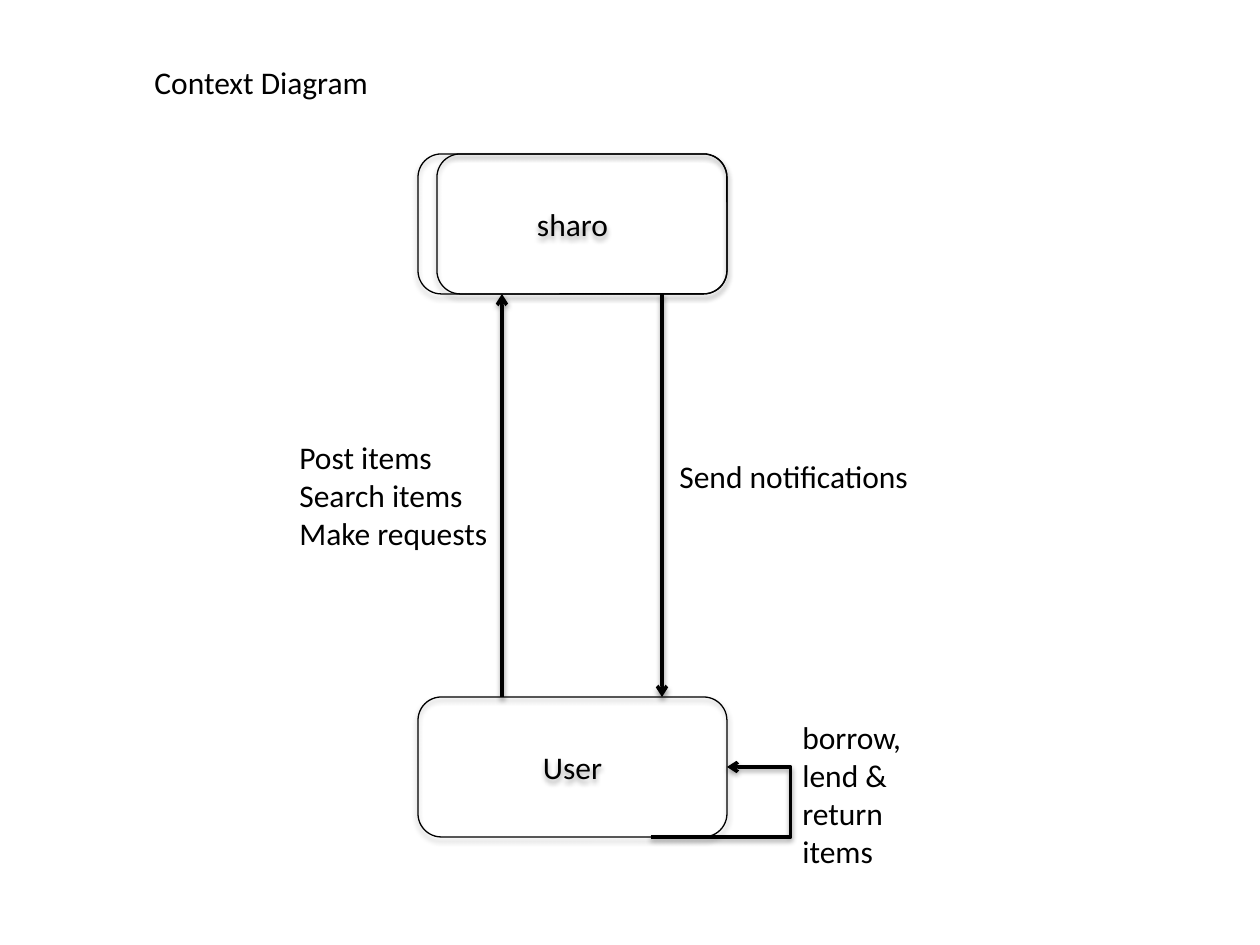
from lxml.etree import SubElement
from pptx import Presentation
from pptx.dml.color import RGBColor
from pptx.enum.shapes import MSO_CONNECTOR, MSO_SHAPE
from pptx.enum.text import MSO_ANCHOR, MSO_AUTO_SIZE, PP_ALIGN
from pptx.oxml.ns import qn
from pptx.util import Emu, Pt

COLORS = {"ink": "000000"}
FONT = "Calibri"
PIXEL = 914400 / 126


def px(length):
    """Turn whole pixels into EMU."""
    return Emu(round(length * PIXEL))


def ink():
    """Return the colour of lines and text."""
    return RGBColor.from_string(COLORS["ink"])


def add_shadow(shape, distance, opacity):
    """Give a shape a soft shadow straight below it."""
    effects = SubElement(shape._element.spPr, qn("a:effectLst"))
    shadow = SubElement(effects, qn("a:outerShdw"), blurRad=str(Pt(3.1)),
                        dist=str(Pt(distance)), dir="5400000", rotWithShape="0")
    color = SubElement(shadow, qn("a:srgbClr"), val=COLORS["ink"])
    SubElement(color, qn("a:alpha"), val=str(opacity * 1000))


def write_text(shape, text, alignment):
    """Write lines of text as paragraphs in the common font."""
    shape.text_frame.text = text
    for para in shape.text_frame.paragraphs:
        para.alignment = alignment
        for span in para.runs:
            span.font.name = FONT
            span.font.size = Pt(18)
            span.font.color.rgb = ink()


def add_label(page, box, text, wrap=False):
    """Place a plain text label in a box of left, top, width, height."""
    label = page.shapes.add_textbox(*map(px, box))
    write_text(label, text, PP_ALIGN.LEFT)
    label.text_frame.word_wrap = wrap
    label.text_frame.auto_size = MSO_AUTO_SIZE.SHAPE_TO_FIT_TEXT


def add_node(page, box, text=""):
    """Place an outlined rounded box with centred text."""
    node = page.shapes.add_shape(MSO_SHAPE.ROUNDED_RECTANGLE, *map(px, box))
    node.fill.background()
    node.line.color.rgb = ink()
    node.line.width = Pt(0.75)
    add_shadow(node, 1.8, 35)
    if text:
        write_text(node, text, PP_ALIGN.CENTER)
        node.text_frame.vertical_anchor = MSO_ANCHOR.MIDDLE


def add_arrow(page, start, end, bend=None):
    """Draw an arrow; bend places the elbow as a share of its width."""
    kind = MSO_CONNECTOR.STRAIGHT if bend is None else MSO_CONNECTOR.ELBOW
    arrow = page.shapes.add_connector(kind, *map(px, start + end))
    arrow.line.color.rgb = ink()
    arrow.line.width = Pt(2)
    SubElement(arrow.line._get_or_add_ln(), qn("a:tailEnd"), type="arrow")
    add_shadow(arrow, 1.6, 38)
    if bend is not None:
        adjustments = arrow._element.spPr.find(qn("a:prstGeom")).get_or_add_avLst()
        SubElement(adjustments, qn("a:gd"), name="adj1",
                   fmla=f"val {round(bend * 100000)}")


def add_system(page, box):
    """Place the system as two nodes sharing their right edge."""
    left, top, width, height = box
    inset = 19
    add_node(page, box, "sharo")
    add_node(page, (left + inset, top, width - inset, height))


def add_user(page, box):
    """Place the user with the loop at its lower right corner."""
    left, top, width, height = box
    right, bottom = left + width, top + height
    add_node(page, box, "User")
    add_arrow(page, (right - 76, bottom), (right, bottom - height // 2), 1.84)
    add_label(page, (right + 63, top + 15, 134, 165),
              "borrow,\nlend &\nreturn\nitems")


def add_flows(page, box):
    """Draw the labelled flows in the gap between system and user."""
    left, top, width, height = box
    right, bottom = left + width, top + height
    add_arrow(page, (right, top), (right, bottom))
    add_label(page, (right + 5, top + 157, 270, 50), "Send notifications", wrap=True)
    add_label(page, (left - 215, top + 138, 217, 127),
              "Post items\nSearch items\nMake requests")
    add_arrow(page, (left, bottom), (left, top))


def build_context_diagram(page, box):
    """Place the title, system, user and flows in the diagram's box."""
    left, top, width, height = box
    node_height = 140
    add_label(page, (left - 276, top - 97, 243, 50), "Context Diagram")
    add_system(page, (left, top, width, node_height))
    add_user(page, (left, top + height - node_height, width, node_height))
    add_flows(page, (left + 84, top + node_height, 160, height - 2 * node_height))


deck = Presentation()
deck.slide_width, deck.slide_height = px(1260), px(945)
slide = deck.slides.add_slide(deck.slide_layouts[6])
build_context_diagram(slide, (418, 154, 309, 683))
deck.save("out.pptx")
